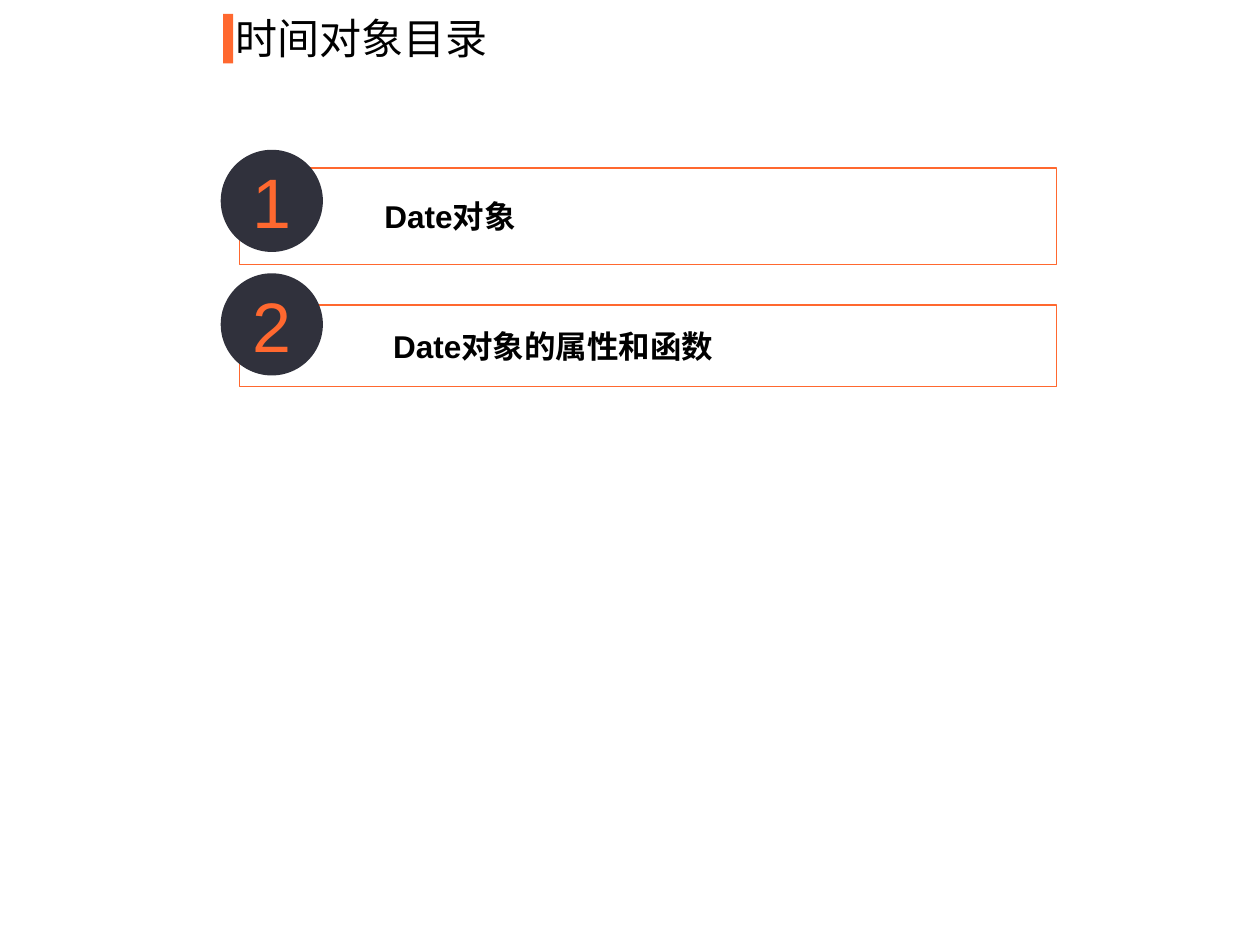
from typing import NamedTuple

from lxml import etree
from pptx import Presentation
from pptx.dml.color import RGBColor
from pptx.enum.shapes import MSO_SHAPE
from pptx.enum.text import MSO_ANCHOR, PP_ALIGN
from pptx.oxml.ns import qn
from pptx.util import Cm, Pt

RECT, OVAL = MSO_SHAPE.RECTANGLE, MSO_SHAPE.OVAL
TOP, MIDDLE = MSO_ANCHOR.TOP, MSO_ANCHOR.MIDDLE
LEFT, CENTER = PP_ALIGN.LEFT, PP_ALIGN.CENTER

ORANGE = RGBColor(0xFF, 0x68, 0x2F)
DARK = RGBColor(0x30, 0x31, 0x3C)
WHITE = RGBColor(0xFF, 0xFF, 0xFF)
BLACK = RGBColor(0, 0, 0)
LATIN, HAN = "Arial", "Noto Sans CJK SC"


class Area(NamedTuple):
    left: float
    top: float
    width: float
    height: float


class Style(NamedTuple):
    font: str
    size: int
    color: RGBColor
    bold: bool = False
    align: PP_ALIGN = LEFT
    anchor: MSO_ANCHOR = MIDDLE


class Item(NamedTuple):
    runs: tuple[str, ...]
    top: float
    height: float
    badge: float


TITLE = Style(HAN, 24, BLACK, anchor=TOP)
LABEL = Style(LATIN, 18, BLACK, bold=True)
NUMBER = Style(LATIN, 40, ORANGE, align=CENTER)

ITEMS = (
    Item(("Date", "对象"), 3.39, 1.94, 3.02),
    Item((" Date", "对象的属性和函数"), 6.15, 1.65, 5.51),
)


def place(area: Area) -> list[Cm]:
    return [Cm(side) for side in area]


def draw(slide, kind: MSO_SHAPE, area: Area, fill: RGBColor):
    shape = slide.shapes.add_shape(kind, *place(area))
    shape.shadow.inherit = False
    shape.fill.solid()
    shape.fill.fore_color.rgb = fill
    shape.line.fill.background()
    return shape


def write(shape, runs: tuple[str, ...], style: Style) -> None:
    frame = shape.text_frame
    frame.word_wrap = True
    frame.vertical_anchor = style.anchor
    para = frame.paragraphs[0]
    para.alignment = style.align
    for text in runs:
        run = para.add_run()
        run.text = text
        font = run.font
        font.name = style.font
        font.size = Pt(style.size)
        font.bold = style.bold
        font.color.rgb = style.color
        etree.SubElement(font._element, qn("a:ea"), typeface=HAN)


def add_box(slide, item: Item) -> None:
    box = draw(slide, RECT, Area(4.83, item.top, 16.47, item.height), WHITE)
    color = box.fill._xPr.find(qn("a:solidFill"))[0]
    etree.SubElement(color, qn("a:alpha"), val="40000")
    box.line.color.rgb = ORANGE
    box.line.width = Pt(0.75)
    frame = box.text_frame
    frame.margin_left = Cm(2.92)
    frame.margin_top = frame.margin_right = frame.margin_bottom = Cm(0.2)
    write(box, item.runs, LABEL)


def add_badge(slide, item: Item, number: int) -> None:
    badge = draw(slide, OVAL, Area(4.45, item.badge, 2.06, 2.06), DARK)
    write(badge, (str(number),), NUMBER)


def main() -> None:
    deck = Presentation()
    deck.slide_width, deck.slide_height = Cm(25.4), Cm(19.05)
    slide = deck.slides.add_slide(deck.slide_layouts[6])
    draw(slide, RECT, Area(4.5, 0.28, 0.2, 1), ORANGE)
    for item in ITEMS:
        add_box(slide, item)
    title = slide.shapes.add_textbox(*place(Area(4.5, 0.13, 10.21, 1.27)))
    write(title, ("时间对象目录",), TITLE)
    for number, item in enumerate(ITEMS, 1):
        add_badge(slide, item, number)
    deck.save("out.pptx")


if __name__ == "__main__":
    main()
